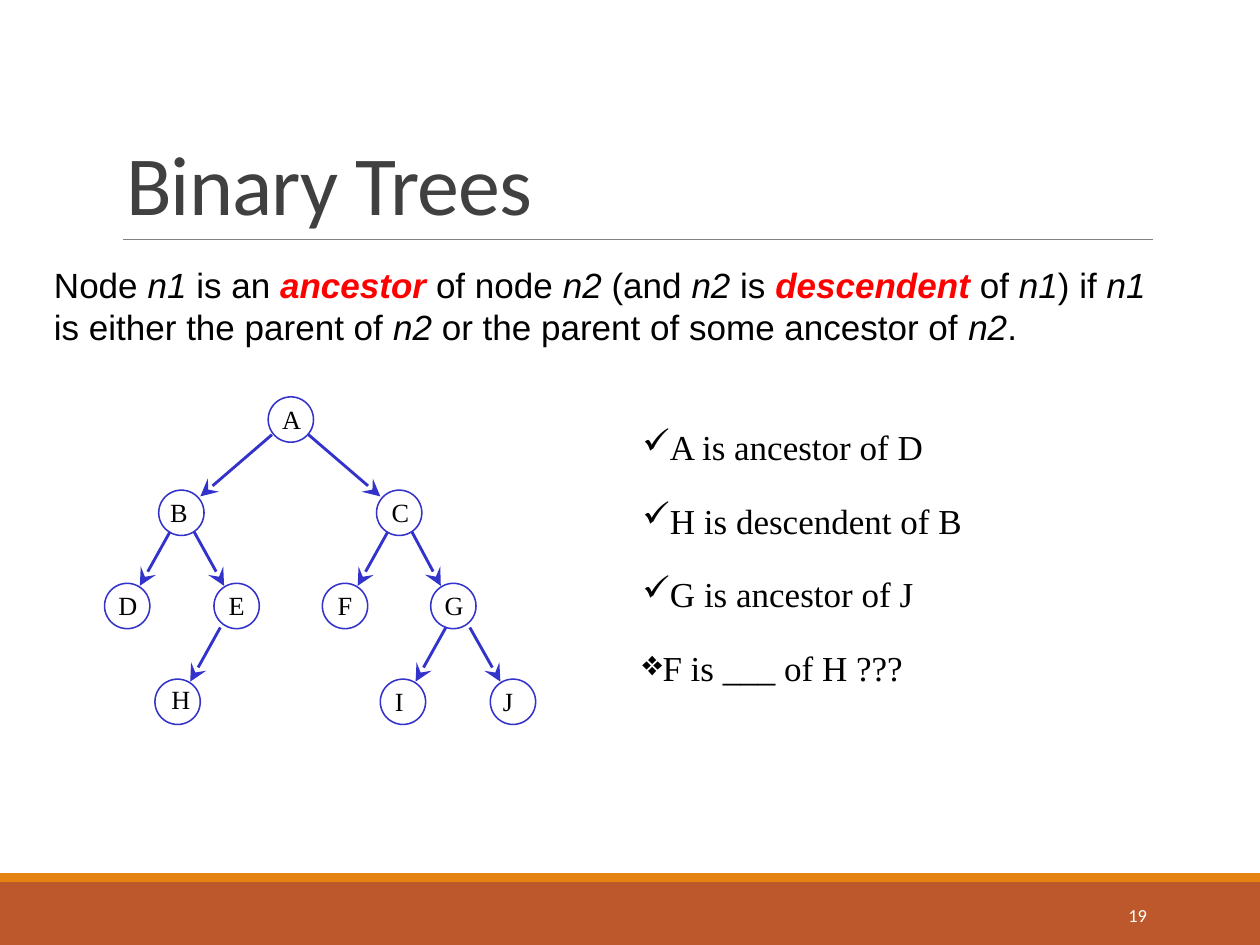
from typing import NamedTuple

from lxml import etree
from pptx import Presentation
from pptx import util as u
from pptx.dml.color import RGBColor
from pptx.enum import shapes, text
from pptx.oxml import ns

W, H = 10, 7.5
INK = {"black": "000000", "red": "FF0000", "title": "404040", "rule": "808080",
       "rust": "BD582C", "amber": "E48312", "white": "FFFFFF", "tree": "3333CC"}
SERIF = "Times New Roman"

# Tree grid: columns from the leftmost node, rows by depth
LEFT, STEP, SIZE = 1.01, 0.43, 0.36
ROWS = (3.33, 4.07, 4.81, 5.57)


class Node(NamedTuple):
    col: float
    row: int
    dx: float = 0    # label shift
    dy: float = 0


class Edge(NamedTuple):
    top: str
    end: str
    out: tuple       # start, from the parent's centre
    tip: tuple       # tip, from the child's centre


NODES = {"A": Node(3.02, 0), "B": Node(1, 1, -0.02), "C": Node(5.02, 1, 0.01),
         "D": Node(0, 2), "E": Node(2.02, 2), "F": Node(4.02, 2),
         "G": Node(6.02, 2), "H": Node(0.93, 3, 0.02, -0.02),
         "I": Node(5.09, 3, -0.03), "J": Node(7.12, 3, -0.04)}
WIDE, SLIM = (0.15, -0.13), (0.1, -0.16)
EDGES = [Edge("A", "B", (-0.15, 0.12), WIDE), Edge("A", "C", (0.14, 0.12), WIDE),
         Edge("B", "D", (-0.09, 0.15), SLIM), Edge("B", "E", (0.1, 0.15), SLIM),
         Edge("C", "F", (-0.09, 0.15), SLIM), Edge("C", "G", (0.1, 0.15), SLIM),
         Edge("E", "H", (-0.13, 0.17), SLIM), Edge("G", "I", (-0.06, 0.17), SLIM),
         Edge("G", "J", (0.13, 0.17), SLIM)]

FACTS = [("✓", "A is ancestor of D", 3.24), ("✓", "H is descendent of B", 3.24),
         ("✓", "G is ancestor of J", 2.78), ("❖", "F is ___ of H ???", 2.78)]

# Definition: "i" is italic, "k" a key term
RULE = [("Node ", ""), ("n1", "i"), (" is an ", ""), ("ancestor", "k"),
        (" of node ", ""), ("n2", "i"), (" (and ", ""), ("n2", "i"), (" is ", ""),
        ("descendent", "k"), (" of ", ""), ("n1", "i"), (") if ", ""), ("n1 ", "i"),
        ("is either the parent of ", ""), ("n2", "i"),
        (" or the parent of some ancestor of ", ""), ("n2", "i"), (".", "")]


def tint(name: str) -> RGBColor:
    return RGBColor.from_string(INK[name])


def span(box: tuple) -> list:
    return [u.Inches(v) for v in box]


def add_run(para, words: str, size: float, face: str, ink: str = "black"):
    run = para.add_run()
    run.text = words
    run.font.size, run.font.name = u.Pt(size), face
    run.font.color.rgb = tint(ink)
    return run


def add_box(slide, box: tuple, wrap: bool = True, pad: bool = True):
    frame = slide.shapes.add_textbox(*span(box)).text_frame
    frame.word_wrap = wrap
    frame.auto_size = text.MSO_AUTO_SIZE.SHAPE_TO_FIT_TEXT
    if not pad:
        frame.margin_left = frame.margin_right = 0
        frame.margin_top = frame.margin_bottom = 0
    return frame


def add_band(slide, box: tuple, ink: str) -> None:
    band = slide.shapes.add_shape(shapes.MSO_SHAPE.RECTANGLE, *span(box))
    band.shadow.inherit = False
    band.fill.solid()
    band.fill.fore_color.rgb = tint(ink)
    band.line.fill.background()


def add_line(slide, ends: tuple, ink: str, width: float, arrow: bool = False) -> None:
    line = slide.shapes.add_connector(shapes.MSO_CONNECTOR.STRAIGHT, *span(ends))
    line.line.color.rgb = tint(ink)
    line.line.width = u.Pt(width)
    if arrow:
        etree.SubElement(line.line._get_or_add_ln(), ns.qn("a:tailEnd"),
                         type="stealth", w="lg", len="lg")
    etree.SubElement(line._element.spPr, ns.qn("a:effectLst"))


def centre(name: str) -> tuple:
    node = NODES[name]
    return LEFT + node.col * STEP, ROWS[node.row]


def add_node(slide, name: str, node: Node) -> None:
    x, y = centre(name)
    ring = slide.shapes.add_shape(shapes.MSO_SHAPE.OVAL,
                                  *span((x - SIZE / 2, y - SIZE / 2, SIZE, SIZE)))
    ring.shadow.inherit = False
    ring.fill.background()
    ring.line.color.rgb = tint("tree")
    ring.line.width = u.Pt(0.88)
    frame = add_box(slide, (x - 0.07 + node.dx, y - 0.13 + node.dy, 0.14, 0.25),
                    wrap=False, pad=False)
    para = frame.paragraphs[0]
    para.alignment = text.PP_ALIGN.CENTER
    add_run(para, name, 15, SERIF)


def add_edge(slide, edge: Edge) -> None:
    (ax, ay), (bx, by) = centre(edge.top), centre(edge.end)
    side = 1 if bx < ax else -1
    ends = (ax + edge.out[0], ay + edge.out[1],
            bx + side * edge.tip[0], by + edge.tip[1])
    add_line(slide, ends, "tree", 1.63, arrow=True)


def add_fact(slide, top: float, mark: str, words: str, width: float) -> None:
    para = add_box(slide, (5, top, width, 0.5)).paragraphs[0]
    etree.SubElement(para._p.get_or_add_pPr(), ns.qn("a:buChar"), char=mark)
    add_run(para, words, 20, SERIF)


def main() -> None:
    deck = Presentation()
    deck.slide_width, deck.slide_height = u.Inches(W), u.Inches(H)
    slide = deck.slides.add_slide(deck.slide_layouts[5])

    # Footer bands and title rule
    add_band(slide, (0, H - 0.5, W, 0.5), "rust")
    add_band(slide, (0, H - 0.57, W, 0.07), "amber")
    add_line(slide, (0.98, 1.9, 9.15, 1.9), "rule", 0.5)

    # Title
    title = slide.shapes.title
    title.left, title.top, title.width, title.height = span((0.9, 0.31, 8.25, 1.59))
    frame = title.text_frame
    frame.auto_size = text.MSO_AUTO_SIZE.NONE
    frame.vertical_anchor = text.MSO_ANCHOR.BOTTOM
    para = frame.paragraphs[0]
    para.alignment = text.PP_ALIGN.LEFT
    para.line_spacing = 0.85
    run = add_run(para, "Binary Trees", 48, "Calibri", "title")
    run.font._element.set("spc", "-50")

    # Page number
    frame = add_box(slide, (8.12, 7.06, 1.08, 0.4))
    frame.auto_size = text.MSO_AUTO_SIZE.NONE
    frame.vertical_anchor = text.MSO_ANCHOR.MIDDLE
    para = frame.paragraphs[0]
    para.alignment = text.PP_ALIGN.RIGHT
    add_run(para, "19", 10.5, "Calibri", "white")

    # Definition
    para = add_box(slide, (0.33, 2.04, 9.09, 0.77)).paragraphs[0]
    for words, kind in RULE:
        run = add_run(para, words, 20, "Arial", "red" if kind == "k" else "black")
        run.font.italic = kind != ""
        run.font.bold = kind == "k"

    # Tree
    for name, node in NODES.items():
        add_node(slide, name, node)
    for edge in EDGES:
        add_edge(slide, edge)

    # Examples
    for i, fact in enumerate(FACTS):
        add_fact(slide, 3.33 + i * 7 / 12, *fact)

    deck.save("out.pptx")


if __name__ == "__main__":
    main()
